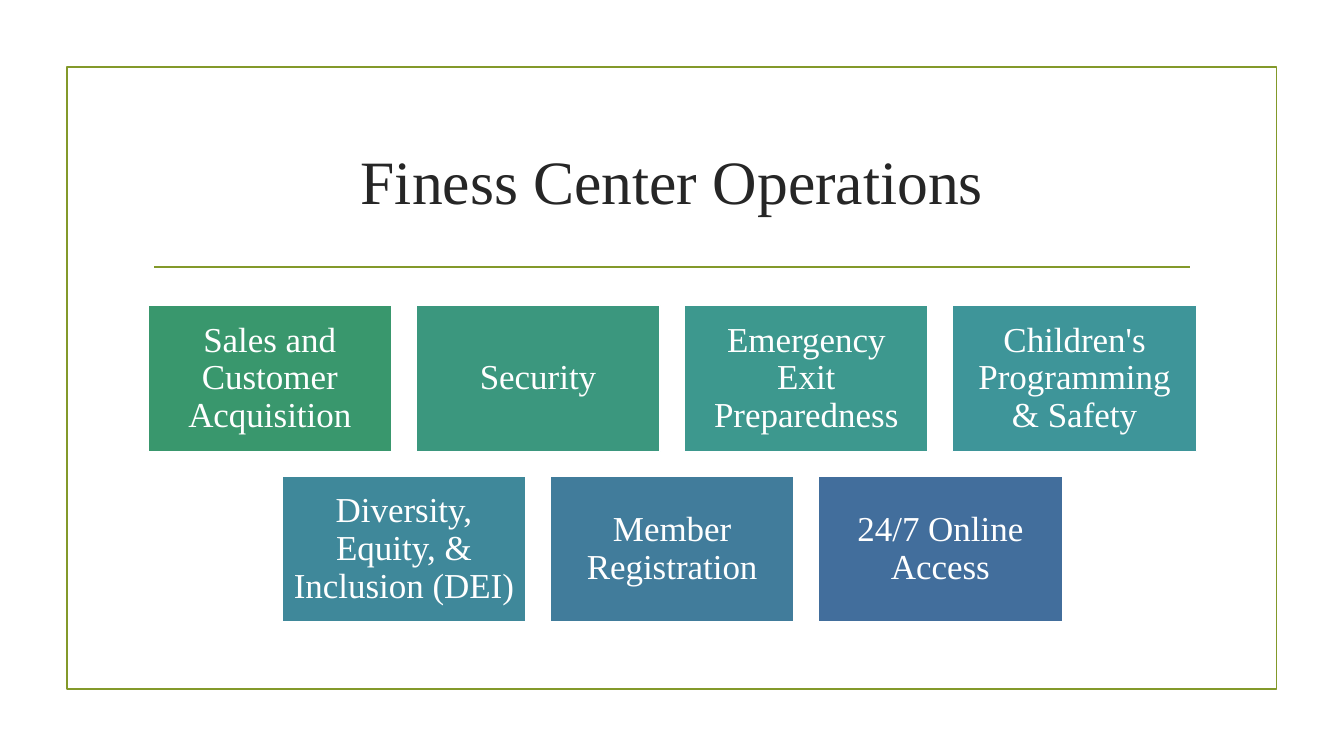
from lxml.etree import SubElement
from pptx import Presentation
from pptx.dml.color import RGBColor
from pptx.enum.shapes import MSO_CONNECTOR, MSO_SHAPE
from pptx.enum.text import MSO_ANCHOR, PP_ALIGN
from pptx.oxml.ns import qn
from pptx.util import Cm, Pt

FONT = "Times New Roman"
OLIVE = RGBColor(0x83, 0x99, 0x2A)
WHITE = RGBColor(0xFF, 0xFF, 0xFF)
INK = RGBColor(0x26, 0x26, 0x26)
LINE_WIDTH = Pt(1.25)

CARD_WIDTH, CARD_HEIGHT = 6.15, 3.68
COLUMN_STEP, ROW_STEP = 6.76, 4.3
CARDS_CENTER, CARDS_TOP = 16.94, 7.7
CARD_ROWS = [
    [
        ("Sales and Customer Acquisition", RGBColor(0x39, 0x97, 0x6D)),
        ("Security", RGBColor(0x3B, 0x97, 0x7E)),
        ("Emergency Exit Preparedness", RGBColor(0x3D, 0x98, 0x8E)),
        ("Children's Programming & Safety", RGBColor(0x3E, 0x95, 0x99)),
    ],
    [
        ("Diversity, Equity, & Inclusion (DEI)", RGBColor(0x3F, 0x88, 0x9A)),
        ("Member Registration", RGBColor(0x41, 0x7C, 0x9B)),
        ("24/7 Online Access", RGBColor(0x42, 0x6E, 0x9C)),
    ],
]


def add_rectangle(page, left, top, width, height, line_color, fill_color=None):
    """Add an outlined rectangle, filled when a colour is given."""
    box = page.shapes.add_shape(
        MSO_SHAPE.RECTANGLE, Cm(left), Cm(top), Cm(width), Cm(height)
    )
    box.shadow.inherit = False
    box.line.color.rgb = line_color
    box.line.width = LINE_WIDTH
    if fill_color is None:
        box.fill.background()
    else:
        box.fill.solid()
        box.fill.fore_color.rgb = fill_color
    return box


def add_rule(page, left, right, height):
    """Add the horizontal line under the title."""
    rule = page.shapes.add_connector(
        MSO_CONNECTOR.STRAIGHT, Cm(left), Cm(height), Cm(right), Cm(height)
    )
    rule.line.color.rgb = OLIVE
    rule.line.width = LINE_WIDTH
    SubElement(rule._element.spPr, qn("a:effectLst"))


def write_centered(box, text, size, color, spacing=1.0):
    """Write one centred paragraph in the middle of a box."""
    frame = box.text_frame
    frame.word_wrap = True
    frame.vertical_anchor = MSO_ANCHOR.MIDDLE
    frame.margin_left = frame.margin_right = Cm(0.25)
    frame.margin_top = frame.margin_bottom = Cm(0.25)
    para = frame.paragraphs[0]
    para.alignment = PP_ALIGN.CENTER
    para.line_spacing = spacing
    span = para.add_run()
    span.text = text
    span.font.name = FONT
    span.font.size = Pt(size)
    span.font.color.rgb = color


def add_title(page, text):
    """Add the slide title."""
    box = page.shapes.add_textbox(Cm(3.61), Cm(2.72), Cm(26.67), Cm(3.63))
    write_centered(box, text, 44, INK)


def add_card_row(page, cards, top):
    """Add a row of coloured cards centred on the slide."""
    row_width = (len(cards) - 1) * COLUMN_STEP + CARD_WIDTH
    first_left = CARDS_CENTER - row_width / 2
    for column, (text, color) in enumerate(cards):
        left = first_left + column * COLUMN_STEP
        card = add_rectangle(page, left, top, CARD_WIDTH, CARD_HEIGHT, WHITE, color)
        write_centered(card, text, 25, WHITE, 0.9)


def main():
    """Build the slide and save the deck."""
    deck = Presentation()
    deck.slide_width, deck.slide_height = Cm(33.87), Cm(19.05)
    page = deck.slides.add_slide(deck.slide_layouts[6])
    add_rectangle(page, 1.69, 1.69, 30.48, 15.68, OLIVE)
    add_rule(page, 3.89, 30, 6.73)
    add_title(page, "Finess Center Operations")
    for row, cards in enumerate(CARD_ROWS):
        add_card_row(page, cards, CARDS_TOP + row * ROW_STEP)
    deck.save("out.pptx")


if __name__ == "__main__":
    main()
